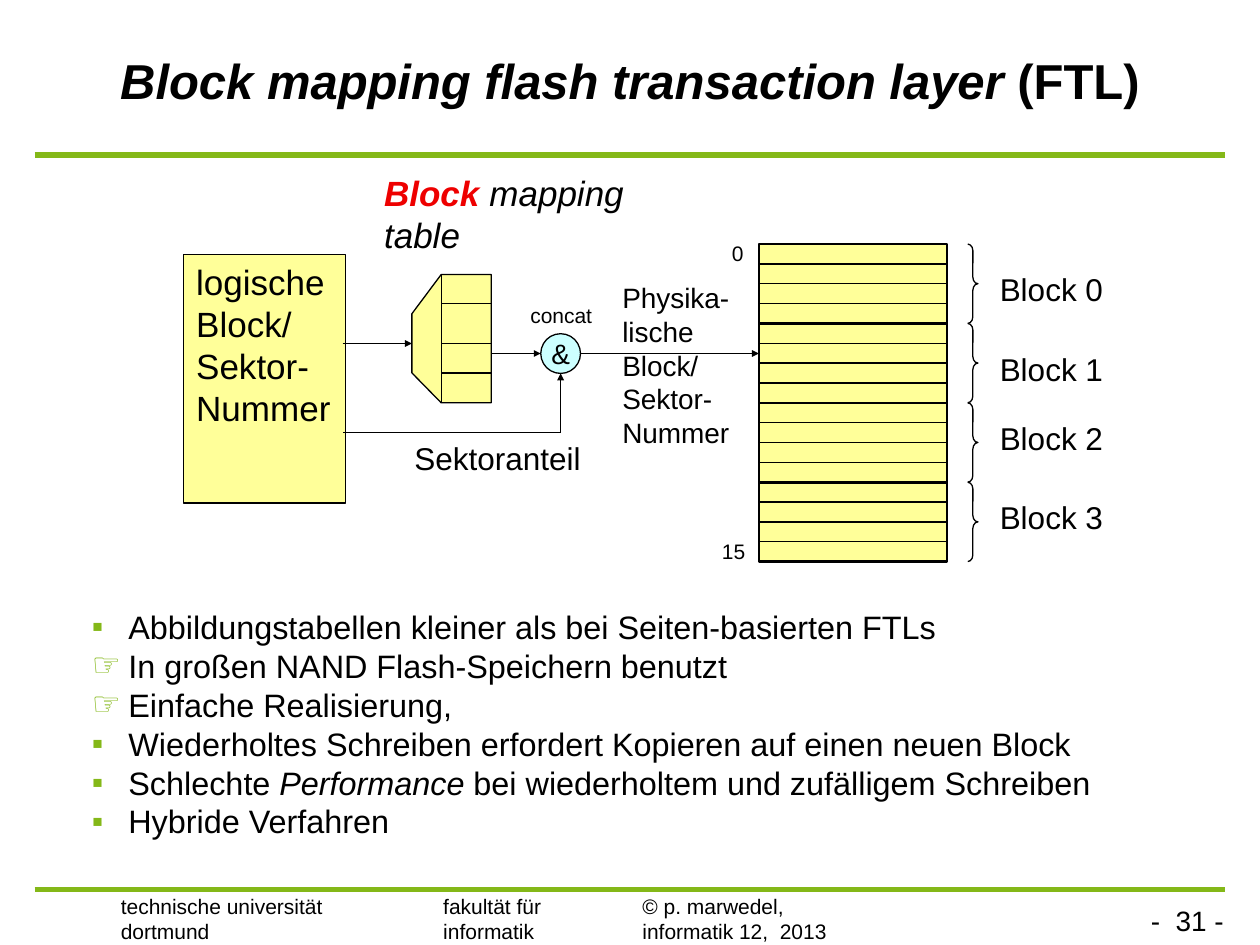
"""Build the slide on block mapping in a flash transaction layer."""
from lxml.etree import SubElement
from pptx import Presentation
from pptx.dml.color import RGBColor
from pptx.enum.shapes import MSO_CONNECTOR as CONN, MSO_SHAPE as SHAPE
from pptx.enum.text import MSO_ANCHOR as ANCHOR, PP_ALIGN as ALIGN
from pptx.oxml.ns import qn
from pptx.util import Pt

BLACK = RGBColor(0x00, 0x00, 0x00)
RED = RGBColor(0xEE, 0x00, 0x00)
GREEN = RGBColor(0x84, 0xB8, 0x18)
YELLOW = RGBColor(0xFF, 0xFF, 0x99)
CYAN = RGBColor(0xCC, 0xFF, 0xFF)

MEM_X, MEM_Y, MEM_W, ROW_H = 433.7, 139.5, 107.6, 11.34
BLOCKS, ROWS = 4, 4
BLOCK_H = ROWS * ROW_H

BULLETS = [
    ("▪", ["Abbildungstabellen kleiner als bei Seiten-basierten FTLs"]),
    ("☞", ["In großen NAND Flash-Speichern benutzt"]),
    ("☞", ["Einfache Realisierung,"]),
    ("▪", ["Wiederholtes Schreiben erfordert Kopieren auf einen neuen Block"]),
    ("▪", ["Schlechte ", ("Performance", {"italic": True}),
           " bei wiederholtem und zufälligem Schreiben"]),
    ("▪", ["Hybride Verfahren"]),
]


def add_runs(p, runs, size, color=BLACK):
    """Add runs, given as text or (text, format values), to a paragraph."""
    for item in runs:
        text, fmt = (item, {}) if isinstance(item, str) else item
        fmt = {"name": "Arial", "size": Pt(size), **fmt}
        for i, part in enumerate(text.split("\n")):
            if i:
                p.add_line_break()
            r = p.add_run()
            r.text = part
            r.font.color.rgb = fmt.get("color", color)
            for key, value in fmt.items():
                if key != "color":
                    setattr(r.font, key, value)


def fill_text(s, paragraphs, size, align=ALIGN.LEFT, anchor=ANCHOR.TOP, wrap=True):
    """Write paragraphs of runs into a shape."""
    tf = s.text_frame
    for key, value in {"word_wrap": wrap, "vertical_anchor": anchor}.items():
        setattr(tf, key, value)
    for i, runs in enumerate(paragraphs):
        p = tf.add_paragraph() if i else tf.paragraphs[0]
        p.alignment = align
        add_runs(p, runs, size)


def add_text(shapes, box, paragraphs, size, **layout):
    """Add a text box."""
    s = shapes.add_textbox(*map(Pt, box))
    fill_text(s, paragraphs, size, **layout)
    return s


def style_shape(s, fill=None, width=0.75):
    """Give a shape a plain fill and a black outline."""
    s.shadow.inherit = False
    if fill is None:
        s.fill.background()
    else:
        s.fill.solid()
        s.fill.fore_color.rgb = fill
    s.line.color.rgb = BLACK
    s.line.width = Pt(width)
    return s


def add_box(shapes, kind, box, fill=None, width=0.75):
    """Add an outlined preset shape."""
    return style_shape(shapes.add_shape(kind, *map(Pt, box)), fill, width)


def add_line(shapes, x1, y1, x2, y2, width=0.75, color=BLACK, arrow=False):
    """Add a straight line, with an arrowhead at its end if wanted."""
    s = shapes.add_connector(CONN.STRAIGHT, *map(Pt, (x1, y1, x2, y2)))
    s.line.color.rgb = color
    s.line.width = Pt(width)
    spPr = s._element.spPr
    if arrow:
        SubElement(spPr.find(qn("a:ln")), qn("a:tailEnd"),
                   type="triangle", w="sm", len="sm")
    SubElement(spPr, qn("a:effectLst"))


def add_bullet(p, char):
    """Give a paragraph a hanging green bullet."""
    pPr = p._p.get_or_add_pPr()
    pPr.set("marL", str(Pt(35.3)))
    pPr.set("indent", str(Pt(-20.9)))
    SubElement(SubElement(pPr, qn("a:buClr")), qn("a:srgbClr"), val=str(GREEN))
    SubElement(pPr, qn("a:buFont"), typeface="Arial")
    SubElement(pPr, qn("a:buChar"), char=char)


def add_title(slide):
    """Place and format the title."""
    s = slide.shapes.title
    box = {"left": 0, "top": 5.8, "width": 720, "height": 80}
    for key, value in box.items():
        setattr(s, key, Pt(value))
    bold = {"bold": True}
    runs = [("Block mapping flash transaction layer", {**bold, "italic": True}),
            (" (FTL)", bold)]
    fill_text(s, [runs], 28, ALIGN.CENTER, ANCHOR.MIDDLE)


def add_frame(shapes):
    """Add the green rules and the footer."""
    for y in (88.5, 508.3):
        add_line(shapes, 19.8, y, 700.2, y, 3, GREEN)
    add_text(shapes, (62, 507, 130, 36),
             [["technische universität"], ["dortmund"]], 12, wrap=False)
    add_text(shapes, (246.2, 507, 115, 36), [["fakultät für informatik"]], 12)
    add_text(shapes, (360, 507, 215, 36),
             [["© p. marwedel, \ninformatik 12,  2013"]], 12)
    add_text(shapes, (617.8, 512.6, 88.6, 27), [["-  31 -"]], 16, align=ALIGN.RIGHT)


def add_bullets(shapes):
    """Add the bullet list."""
    s = add_text(shapes, (31, 343.4, 659, 151), [[] for _ in BULLETS], 18.5)
    for p, (char, runs) in zip(s.text_frame.paragraphs, BULLETS):
        add_bullet(p, char)
        add_runs(p, runs, 18.5)


def add_memory(shapes):
    """Add the memory with its rows, braces and block labels."""
    rows = BLOCKS * ROWS
    add_box(shapes, SHAPE.RECTANGLE, (MEM_X, MEM_Y, MEM_W, rows * ROW_H), YELLOW, 1.5)
    for i in range(1, rows):
        y = MEM_Y + i * ROW_H
        add_line(shapes, MEM_X, y, MEM_X + MEM_W, y, 0.75 if i % ROWS else 1.5)
    add_box(shapes, SHAPE.RECTANGLE, (MEM_X, MEM_Y + 5 * ROW_H, MEM_W, ROW_H))
    for i, label_y in enumerate((150.9, 196.3, 235.9, 281.2)):
        brace = add_box(shapes, SHAPE.RIGHT_BRACE,
                        (553, MEM_Y + i * BLOCK_H, 5.8, BLOCK_H))
        brace.adjustments[0] = 0.65
        add_text(shapes, (564.2, label_y, 76, 28.8), [[f"Block {i}"]], 18, wrap=False)


def add_mapping(shapes):
    """Add the logical address, the mapping table and the concatenation."""
    s = add_box(shapes, SHAPE.RECTANGLE, (105, 145.4, 92.5, 142), YELLOW)
    fill_text(s, [["logische Block/\nSektor- Nummer"]], 20)

    left, split, right, top, bottom = 235.4, 252.2, 280.7, 156.8, 230.2
    outline = [(split, top), (right, top), (right, bottom), (split, bottom), (left, 213.1)]
    fb = shapes.build_freeform(Pt(left), Pt(179.3))
    fb.add_line_segments([(Pt(x), Pt(y)) for x, y in outline])
    style_shape(fb.convert_to_shape(), YELLOW)
    add_line(shapes, split, top, split, bottom)
    for y in (173.5, 196.3, 213.1):
        add_line(shapes, split, y, right, y)

    s = add_box(shapes, SHAPE.OVAL, (309, 190.7, 22.7, 22.7), CYAN)
    fill_text(s, [["&"]], 16, ALIGN.CENTER, ANCHOR.MIDDLE, False)
    flow_y, sector_y, mid_x = 202, 247.2, 320.4
    add_line(shapes, 195.8, 196.3, left, 196.3, arrow=True)
    add_line(shapes, right, flow_y, 309, flow_y, arrow=True)
    add_line(shapes, 331.7, flow_y, MEM_X, flow_y, arrow=True)
    add_line(shapes, mid_x, sector_y, 195.8, sector_y)
    add_line(shapes, mid_x, sector_y, mid_x, 213.4, arrow=True)


def add_labels(shapes):
    """Add the labels of the diagram."""
    add_text(shapes, (212.4, 94.5, 152.6, 55.4),
             [[("Block ", {"bold": True, "italic": True, "color": RED}),
               ("mapping table", {"italic": True})]], 20)
    add_text(shapes, (348.5, 157, 92.2, 103.7),
             [["Physika-lische Block/"], ["Sektor- Nummer"]], 16)
    for text, box, size in (("Sektoranteil", (229.7, 247.4, 112, 28.8), 18),
                            ("concat", (296, 169.5, 53, 21.6), 12),
                            ("15", (405.4, 304, 32, 21.6), 12),
                            ("0", (411.1, 133.9, 25, 21.6), 12)):
        add_text(shapes, box, [[text]], size, wrap=False)


def main():
    """Build and save the slide."""
    prs = Presentation()
    prs.slide_width, prs.slide_height = Pt(720), Pt(540)
    slide = prs.slides.add_slide(prs.slide_layouts[5])
    add_title(slide)
    for add_part in (add_frame, add_bullets, add_memory, add_mapping, add_labels):
        add_part(slide.shapes)
    prs.save("out.pptx")


if __name__ == "__main__":
    main()
